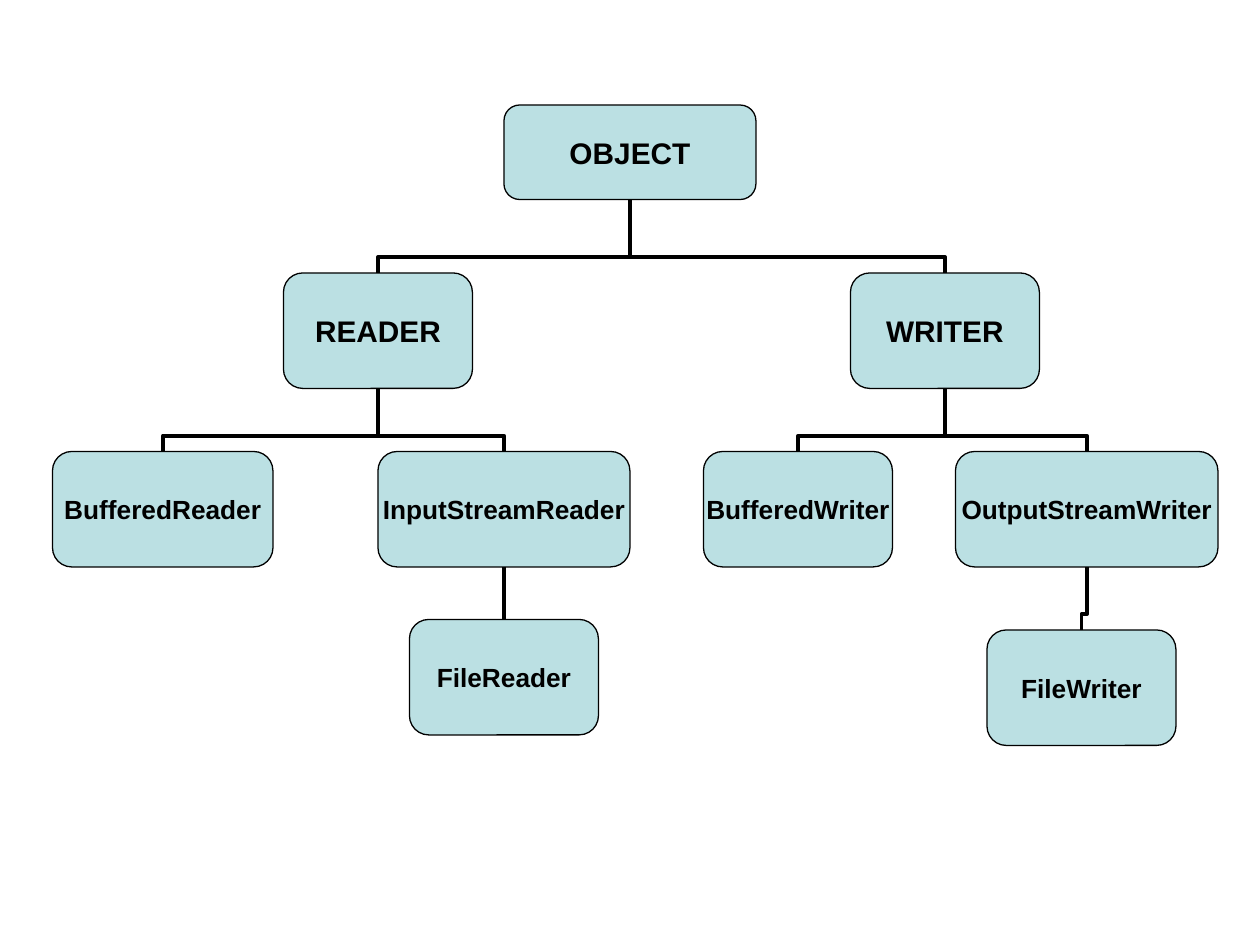
"""Draw the class tree of the Java character streams."""
from dataclasses import dataclass

from lxml.etree import SubElement
from pptx import Presentation
from pptx.dml.color import RGBColor
from pptx.enum.shapes import MSO_CONNECTOR as Link, MSO_SHAPE as Preset
from pptx.enum.text import MSO_ANCHOR as Anchor, PP_ALIGN as Align
from pptx.oxml.ns import qn
from pptx.util import Inches, Pt

COLORS = {"box": "BBE0E3", "ink": "000000"}
CELL = Inches(1) // 12
COLUMNS, ROWS = 120, 90
ELBOW_GAP = 1.5


@dataclass(frozen=True)
class Node:
    """A class box in grid cells, with the name of its parent."""
    name: str
    column: int
    row: int
    width: int
    height: int = 11
    parent: str = ""
    size: int = 15


NODES = [
    Node("OBJECT", 48, 10, 24, height=9, size=17),
    Node("READER", 27, 26, 18, parent="OBJECT", size=17),
    Node("WRITER", 81, 26, 18, parent="OBJECT", size=17),
    Node("BufferedReader", 5, 43, 21, parent="READER"),
    Node("InputStreamReader", 36, 43, 24, parent="READER"),
    Node("FileReader", 39, 59, 18, parent="InputStreamReader"),
    Node("BufferedWriter", 67, 43, 18, parent="WRITER"),
    Node("OutputStreamWriter", 91, 43, 25, parent="WRITER"),
    Node("FileWriter", 94, 60, 18, parent="OutputStreamWriter"),
]


def color(name: str) -> RGBColor:
    """Look up a named colour."""
    return RGBColor.from_string(COLORS[name])


def write(box, text: str, *, size: int, bold: bool = True, font: str = "Arial") -> None:
    """Put one centred line of text in a box."""
    frame = box.text_frame
    frame.word_wrap = False
    frame.vertical_anchor = Anchor.MIDDLE
    para = frame.paragraphs[0]
    para.alignment = Align.CENTER
    span = para.add_run()
    span.text = text
    span.font.size, span.font.bold, span.font.name = Pt(size), bold, font
    span.font.color.rgb = color("ink")


def draw_node(page, node: Node):
    """Draw a class as a rounded box."""
    place = (node.column, node.row, node.width, node.height)
    box = page.shapes.add_shape(Preset.ROUNDED_RECTANGLE, *(CELL * part for part in place))
    box.shadow.inherit = False
    box.fill.solid()
    box.fill.fore_color.rgb = color("box")
    box.line.color.rgb = color("ink")
    box.line.width = Pt(0.75)
    write(box, node.name, size=node.size)
    return box


def draw_link(page, child, parent) -> None:
    """Join the top of a child to the bottom of its parent with a turned elbow."""
    start_x, start_y = child.left + child.width // 2, child.top
    end_x, end_y = parent.left + parent.width // 2, parent.top + parent.height
    drop, reach = start_y - end_y, abs(end_x - start_x)
    link = page.shapes.add_connector(Link.ELBOW, start_x, start_y, end_x, end_y)
    link.begin_connect(child, 0)
    link.end_connect(parent, 2)
    link.left, link.top = (start_x + end_x - drop) // 2, (start_y + end_y - reach) // 2
    link.width, link.height = drop, reach
    link.line.color.rgb = color("ink")
    link.line.width = Pt(2.25)

    rightward = end_x > start_x
    properties = link._element.spPr
    frame = properties.find(qn("a:xfrm"))
    frame.set("rot", str((90 if rightward else 270) * 60000))
    frame.set("flipH", "1" if rightward else "0")
    frame.set("flipV", "1")
    geometry = properties.find(qn("a:prstGeom"))
    guides = geometry.find(qn("a:avLst"))
    if guides is None:
        guides = SubElement(geometry, qn("a:avLst"))
    bend = round(ELBOW_GAP * CELL / drop * 100000)
    SubElement(guides, qn("a:gd"), name="adj1", fmla=f"val {bend}")
    SubElement(properties, qn("a:effectLst"))


def main() -> None:
    """Build and save the deck."""
    deck = Presentation()
    deck.slide_width, deck.slide_height = CELL * COLUMNS, CELL * ROWS
    page = deck.slides.add_slide(deck.slide_layouts[6])
    boxes = {node.name: draw_node(page, node) for node in NODES}
    for node in NODES:
        if node.parent:
            draw_link(page, boxes[node.name], boxes[node.parent])
    deck.save("out.pptx")


if __name__ == "__main__":
    main()
